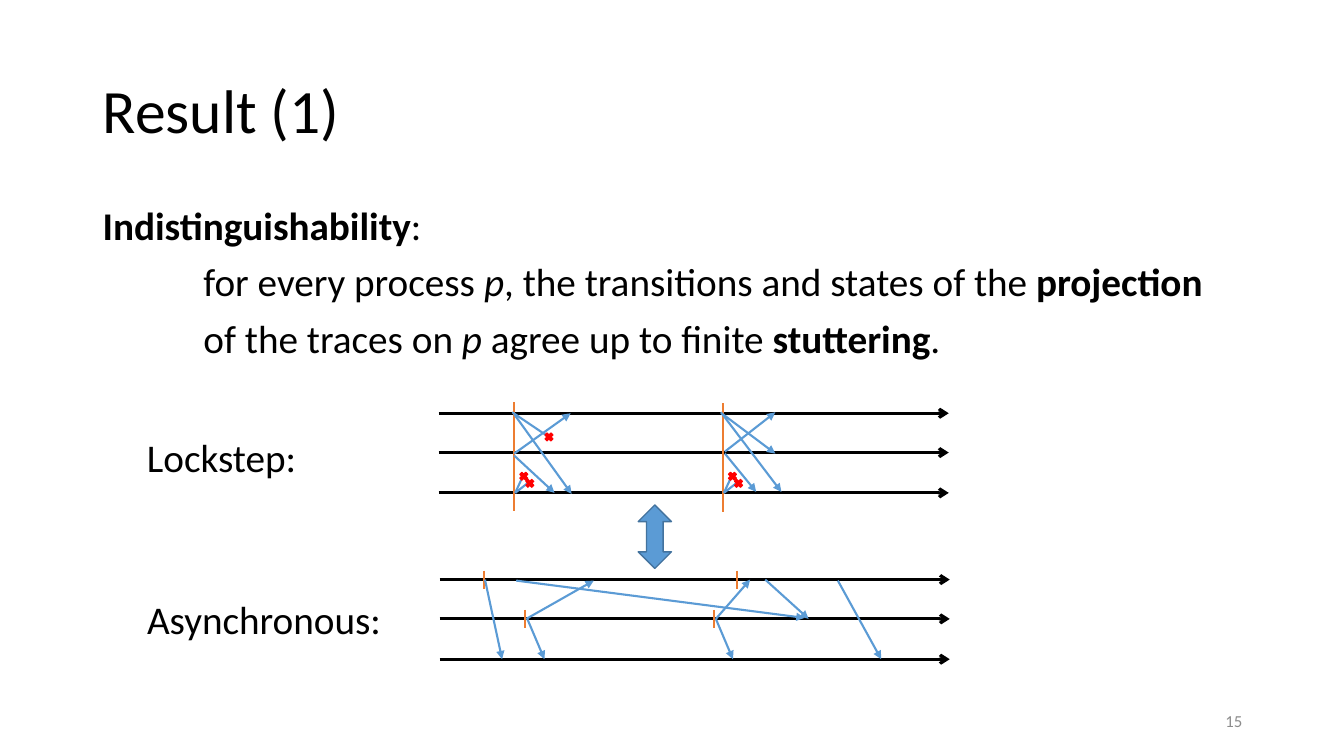
from lxml.etree import SubElement
from pptx import Presentation
from pptx.dml.color import RGBColor
from pptx.enum.shapes import MSO_CONNECTOR, MSO_SHAPE
from pptx.enum.text import MSO_ANCHOR, PP_ALIGN
from pptx.oxml.ns import qn
from pptx.util import Inches, Pt

COLORS = {
    "text": "000000",
    "number": "8C8C8C",
    "message": "5B9BD5",
    "outline": "43739E",
    "round": "ED7D31",
    "lost": "FF0000",
}

# Heights of the three process lines in each diagram
LOCKSTEP_ROWS = (4.1, 4.49, 4.89)
ASYNC_ROWS = (5.75, 6.14, 6.54)

# Messages: x and y of the start, x and y of the end
DELIVERED = [
    # Lockstep, first round
    (5.1, 4.11, 5.67, 4.9),
    (5.1, 4.5, 5.66, 4.1),
    (5.1, 4.52, 5.5, 4.89),
    # Lockstep, second round
    (7.15, 4.09, 7.75, 4.88),
    (7.19, 4.48, 7.69, 4.09),
    (7.19, 4.5, 7.5, 4.88),
    (7.17, 4.11, 7.69, 4.5),
    # Asynchronous
    (4.81, 5.75, 4.98, 6.54),
    (5.12, 5.76, 7.98, 6.13),
    (5.23, 6.14, 5.4, 6.54),
    (5.22, 6.14, 5.89, 5.76),
    (7.1, 6.14, 7.27, 6.54),
    (7.1, 6.14, 7.44, 5.75),
    (7.59, 5.75, 8.02, 6.14),
    (8.31, 5.76, 8.74, 6.54),
]


def color(name):
    return RGBColor.from_string(COLORS[name])


def add_text(page, left, top, width, height, paragraphs, size, ink="text",
             anchor=MSO_ANCHOR.TOP, align=PP_ALIGN.LEFT, wrap=True,
             spacing=1.0, before=0):
    """Each paragraph is (indent in inches, [(text, style), ...])."""
    box = page.shapes.add_textbox(Inches(left), Inches(top), Inches(width), Inches(height))
    frame = box.text_frame
    frame.word_wrap = wrap
    frame.vertical_anchor = anchor
    for index, (indent, spans) in enumerate(paragraphs):
        para = frame.add_paragraph() if index else frame.paragraphs[0]
        para.alignment = align
        para.line_spacing = spacing
        if index:
            para.space_before = Pt(before)
        if indent:
            para._p.get_or_add_pPr().set("marL", str(Inches(indent)))
        para.font.name = "Calibri"
        para.font.size = Pt(size)
        para.font.color.rgb = color(ink)
        for text, style in spans:
            span = para.add_run()
            span.text = text
            if style == "bold":
                span.font.bold = True
            elif style == "italic":
                span.font.italic = True


def add_line(page, start_x, start_y, end_x, end_y, ink, width=1.5, head=None):
    line = page.shapes.add_connector(
        MSO_CONNECTOR.STRAIGHT,
        Inches(start_x), Inches(start_y), Inches(end_x), Inches(end_y))
    line.line.color.rgb = color(ink)
    line.line.width = Pt(width)
    if head:
        SubElement(line.line._get_or_add_ln(), qn("a:tailEnd"), type=head)
    SubElement(line._element.spPr, qn("a:effectLst"))


def add_symbol(page, kind, left, top, width, height, fill, outline):
    symbol = page.shapes.add_shape(
        kind, Inches(left), Inches(top), Inches(width), Inches(height))
    symbol.shadow.inherit = False
    symbol.fill.solid()
    symbol.fill.fore_color.rgb = color(fill)
    symbol.line.color.rgb = color(outline)
    symbol.line.width = Pt(1)


def add_processes(page, left, rows):
    for y in rows:
        add_line(page, left, y, left + 5.06, y, "text", 2.25, "arrow")


def add_cross(page, left, top):
    add_symbol(page, MSO_SHAPE.MATH_MULTIPLY, left, top, 0.11, 0.11, "lost", "lost")


def add_lost_pair(page, x):
    """Two messages from the bottom process that never arrive."""
    y = LOCKSTEP_ROWS[2]
    add_line(page, x, y, x + 0.06, y - 0.13, "message")
    add_line(page, x, y, x + 0.14, y - 0.11, "message")
    add_cross(page, x + 0.09, 4.74)
    add_cross(page, x + 0.03, 4.67)


def main():
    deck = Presentation()
    deck.slide_width = Inches(13.33)
    deck.slide_height = Inches(7.5)
    page = deck.slides.add_slide(deck.slide_layouts[6])

    # Title, statement and slide number
    add_text(page, 0.92, 0.4, 11.5, 1.45, [(0, [("Result (1)", None)])], 44,
             anchor=MSO_ANCHOR.MIDDLE, spacing=0.9)
    statement = [
        (0, [("Indistinguishability", "bold"), (":", None)]),
        (1, [("for every process ", None), ("p", "italic"),
             (", the transitions and states of the ", None), ("projection", "bold")]),
        (1, [("of the traces on ", None), ("p", "italic"),
             (" agree up to finite ", None), ("stuttering", "bold"), (".", None)]),
    ]
    add_text(page, 0.92, 2, 11.5, 1.75, statement, 28, spacing=0.9, before=10)
    add_text(page, 9.42, 6.95, 3, 0.4, [(0, [("15", None)])], 12, "number",
             MSO_ANCHOR.MIDDLE, PP_ALIGN.RIGHT)

    # Diagram labels
    for label, top, width in (("Lockstep:", 4.25, 1.7), ("Asynchronous:", 5.86, 2.55)):
        add_text(page, 1.36, top, width, 0.57, [(0, [(label, None)])], 28, wrap=False)

    # Process lines
    add_processes(page, 4.35, LOCKSTEP_ROWS)
    add_processes(page, 4.36, ASYNC_ROWS)

    # Round marks: long in lockstep, one short tick per process otherwise
    for x, top in ((5.1, 3.99), (7.17, 4)):
        add_line(page, x, top, x, top + 1.08, "round")
    for x, row in ((4.8, 0), (7.31, 0), (5.21, 1), (7.08, 1)):
        y = ASYNC_ROWS[row]
        add_line(page, x, y - 0.09, x, y + 0.09, "round")

    # Messages
    for message in DELIVERED:
        add_line(page, *message, "message", head="triangle")
    add_line(page, 5.08, 4.09, 5.48, 4.36, "message")
    add_cross(page, 5.39, 4.28)
    for x in (5.11, 7.18):
        add_lost_pair(page, x)

    # Equivalence between the two diagrams
    add_symbol(page, MSO_SHAPE.UP_DOWN_ARROW, 6.33, 5.01, 0.33, 0.63, "message", "outline")

    deck.save("out.pptx")


if __name__ == "__main__":
    main()
